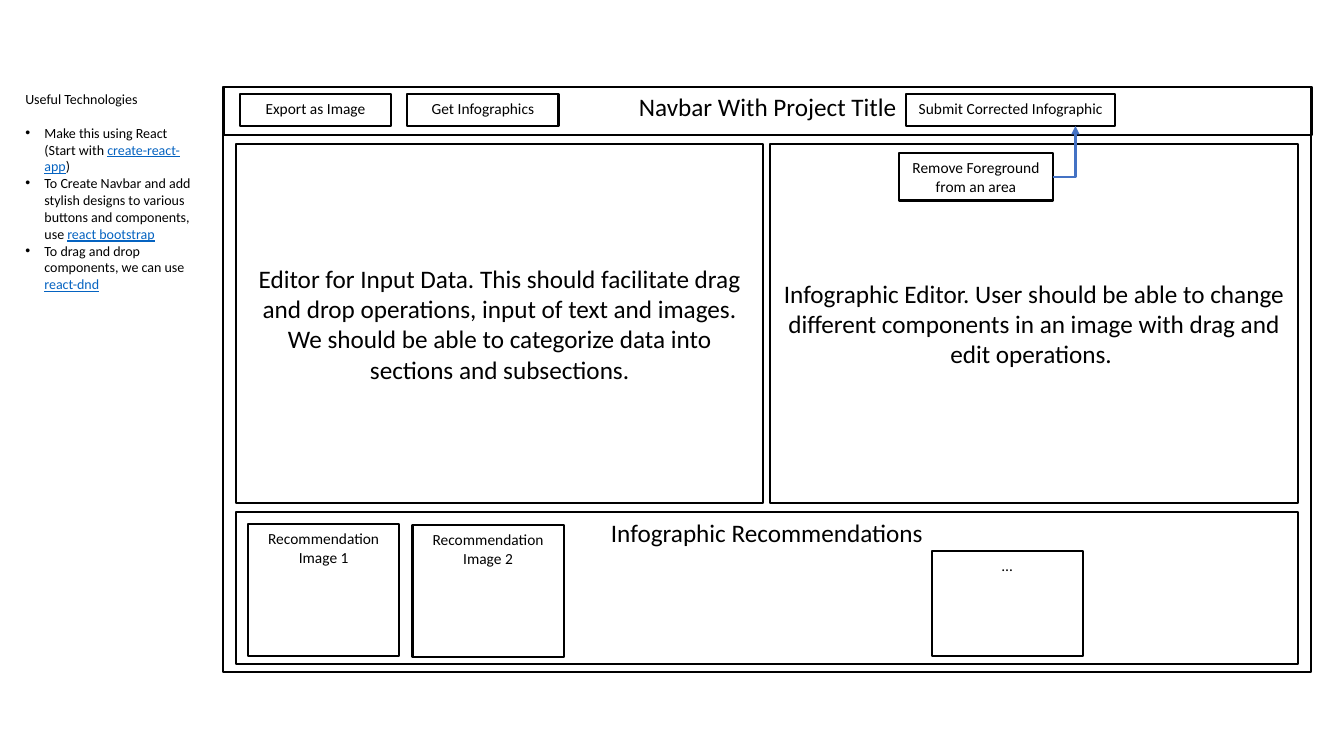
from dataclasses import dataclass

from pptx import Presentation
from pptx.dml.color import RGBColor as RGB
from pptx.enum.shapes import MSO_CONNECTOR as CONN, MSO_SHAPE as SHAPE
from pptx.enum.text import MSO_ANCHOR as ANCHOR, MSO_AUTO_SIZE as AUTO, PP_ALIGN as ALIGN
from pptx.oxml.ns import qn
from pptx.util import Inches, Pt


@dataclass(frozen=True)
class Theme:
    font: str = "Calibri"
    ink: str = "000000"
    link: str = "0563C1"
    arrow: str = "4472C4"
    heading: int = 18
    label: int = 11
    note: int = 10
    line: float = 1.5


@dataclass(frozen=True)
class Box:
    x: float
    y: float
    w: float
    h: float

    def inner(self, x, y, w, h):
        return Box(self.x + x, self.y + y, w, h)

    def emu(self):
        return across(self.x), down(self.y), across(self.w), down(self.h)


T = Theme()
SLIDE_W, SLIDE_H = Inches(13.33), Inches(7.5)
BUTTON_W, BUTTON_H = 11.25, 4.27


def across(share):
    return round(SLIDE_W * share / 100)


def down(share):
    return round(SLIDE_H * share / 100)


def add_text(p, text, size=T.label, color=T.ink, underline=None):
    r = p.add_run()
    r.text = text
    r.font.name, r.font.size = T.font, Pt(size)
    r.font.color.rgb = RGB.from_string(color)
    r.font.underline = underline


def place(sp, box):
    sp.left, sp.top, sp.width, sp.height = box.emu()


def style_panel(sp, text="", size=T.label, anchor=ANCHOR.TOP):
    sp.fill.background()
    sp.line.color.rgb = RGB.from_string(T.ink)
    sp.line.width = Pt(T.line)
    tf = sp.text_frame
    tf.word_wrap, tf.auto_size, tf.vertical_anchor = True, AUTO.NONE, anchor
    p = tf.paragraphs[0]
    p.alignment = ALIGN.CENTER
    if text:
        add_text(p, text, size=size)


def add_panel(s, box, text="", **fmt):
    sp = s.shapes.add_shape(SHAPE.RECTANGLE, *box.emu())
    sp.shadow.inherit = False
    style_panel(sp, text, **fmt)


def add_arrow(s, x1, y1, x2, y2):
    cxn = s.shapes.add_connector(CONN.ELBOW, across(x1), down(y1), across(x2), down(y2))
    cxn.line.color.rgb = RGB.from_string(T.arrow)
    cxn.line.width = Pt(T.line)
    spPr = cxn._element.spPr
    spPr.find(qn("a:prstGeom")).set("prst", "bentConnector2")
    ln = spPr.find(qn("a:ln"))
    ln.append(ln.makeelement(qn("a:tailEnd"), {"type": "triangle"}))
    spPr.append(spPr.makeelement(qn("a:effectLst"), {}))


def set_bullet(p, bullet):
    pPr = p._p.get_or_add_pPr()
    indent = Inches(0.19) if bullet else 0
    pPr.set("marL", str(indent))
    pPr.set("indent", str(-indent))
    if bullet:
        pPr.append(pPr.makeelement(qn("a:buFont"), {"typeface": "Arial"}))
        pPr.append(pPr.makeelement(qn("a:buChar"), {"char": "•"}))
    else:
        pPr.append(pPr.makeelement(qn("a:buNone"), {}))


def build_sidebar(s, box):
    sp = s.placeholders[1]
    place(sp, box)
    tf = sp.text_frame
    tf.word_wrap, tf.auto_size = True, AUTO.NONE
    p = tf.paragraphs[0]
    p.space_before, p.space_after = Pt(0), Pt(12)
    set_bullet(p, False)
    add_text(p, "Useful Technologies", size=T.note)
    for lead, link, rest in (
        ("Make this using React (Start with ", "create-react-app", ")"),
        ("To Create Navbar and add stylish designs to various buttons and components, use ",
         "react bootstrap", ""),
        ("To drag and drop components, we can use ", "react-dnd", " "),
    ):
        p = tf.add_paragraph()
        p.space_before = Pt(0)
        set_bullet(p, True)
        add_text(p, lead, size=T.note)
        add_text(p, link, size=T.note, color=T.link, underline=True)
        if rest:
            add_text(p, rest, size=T.note)


def build_navbar(s, box):
    place(s.shapes.title, box)
    style_panel(s.shapes.title, "Navbar With Project Title", size=T.heading)
    for i, text in enumerate(("Export as Image", "Get Infographics")):
        add_panel(s, box.inner(1.2 + 12.46 * i, 0.93, BUTTON_W, BUTTON_H), text)
    submit = box.inner(50.79, 0.93, 15.53, BUTTON_H)
    add_panel(s, submit, "Submit Corrected Infographic")
    return submit


def build_editors(s, box, submit):
    gap = 0.53
    w = (box.w - gap) / 2
    for i, text in enumerate((
        "Editor for Input Data. This should facilitate drag and drop operations, input of text "
        "and images. We should be able to categorize data into sections and subsections.",
        "Infographic Editor. User should be able to change different components in an image "
        "with drag and edit operations. ",
    )):
        editor = box.inner((w + gap) * i, 0, w, box.h)
        add_panel(s, editor, text, size=T.heading, anchor=ANCHOR.MIDDLE)
    remove = editor.inner(9.6, 1.2, 11.4, 6.27)
    add_panel(s, remove, "Remove Foreground from an area")
    add_arrow(s, remove.x + remove.w, remove.y + remove.h / 2,
              submit.x + submit.w * 0.81, submit.y + submit.h)


def build_recommendations(s, box):
    add_panel(s, box, "Infographic Recommendations", size=T.heading)
    for x, y, h, text in (
        (0.9, 1.6, 17.47, "Recommendation Image 1"),
        (13.13, 1.73, 17.47, "Recommendation Image 2"),
        (51.76, 5.2, 13.87, "…"),
    ):
        add_panel(s, box.inner(x, y, BUTTON_W, h), text)


def build_wireframe(s, box):
    add_panel(s, box)
    submit = build_navbar(s, box.inner(0.07, 0, box.w, 6.4))
    inner_w = 78.99
    build_editors(s, box.inner(0.98, 7.6, inner_w, 47.47), submit)
    build_recommendations(s, box.inner(0.98, 56.27, inner_w, 20.13))


def main():
    prs = Presentation()
    prs.slide_width, prs.slide_height = SLIDE_W, SLIDE_H
    s = prs.slides.add_slide(prs.slide_layouts[1])
    build_wireframe(s, Box(16.58, 11.47, 80.95, 77.47))
    build_sidebar(s, Box(1.13, 11.33, 14.1, 30.53))
    prs.save("out.pptx")


if __name__ == "__main__":
    main()
